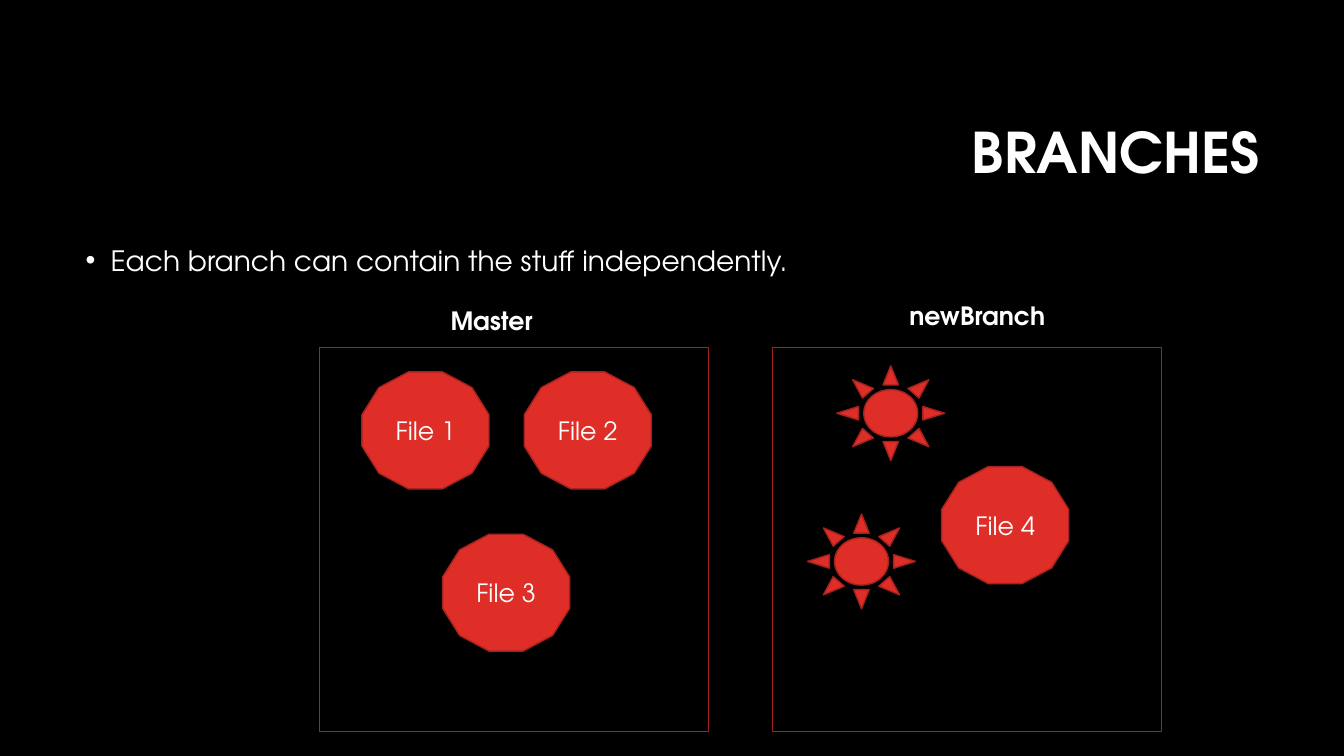
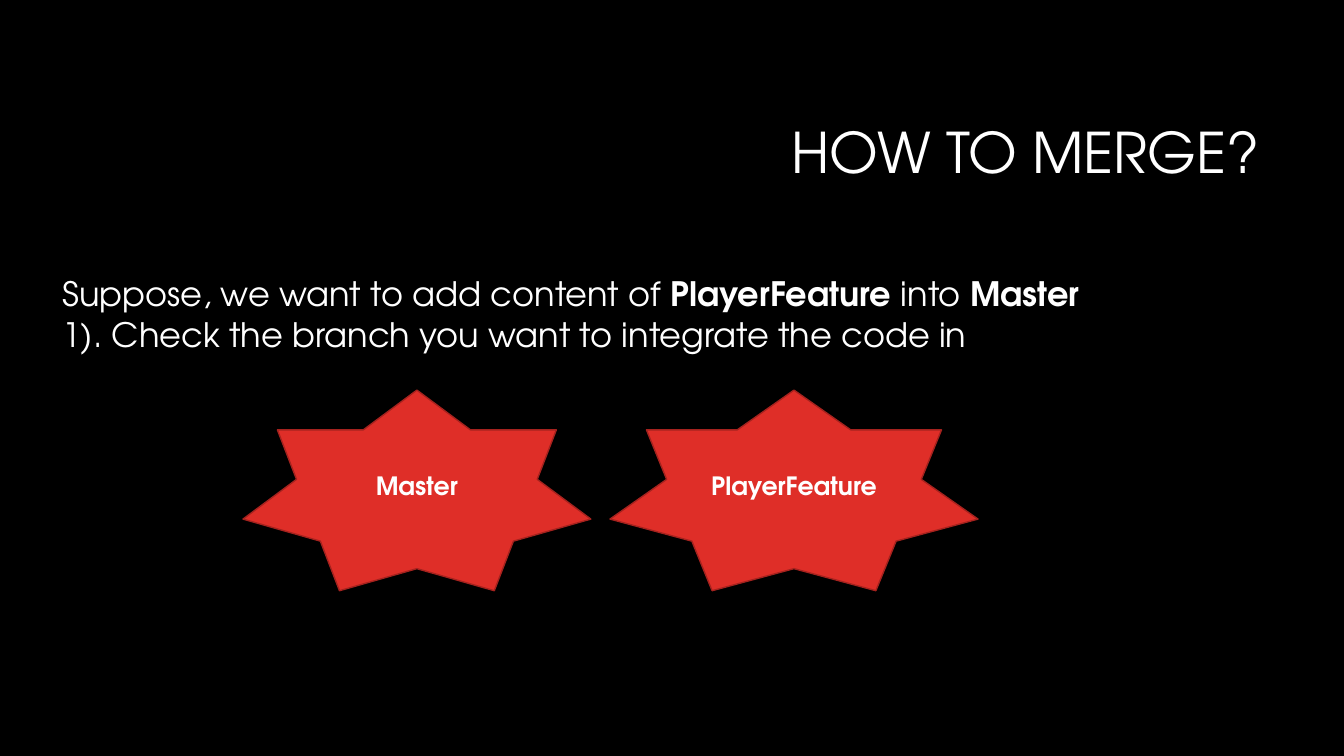
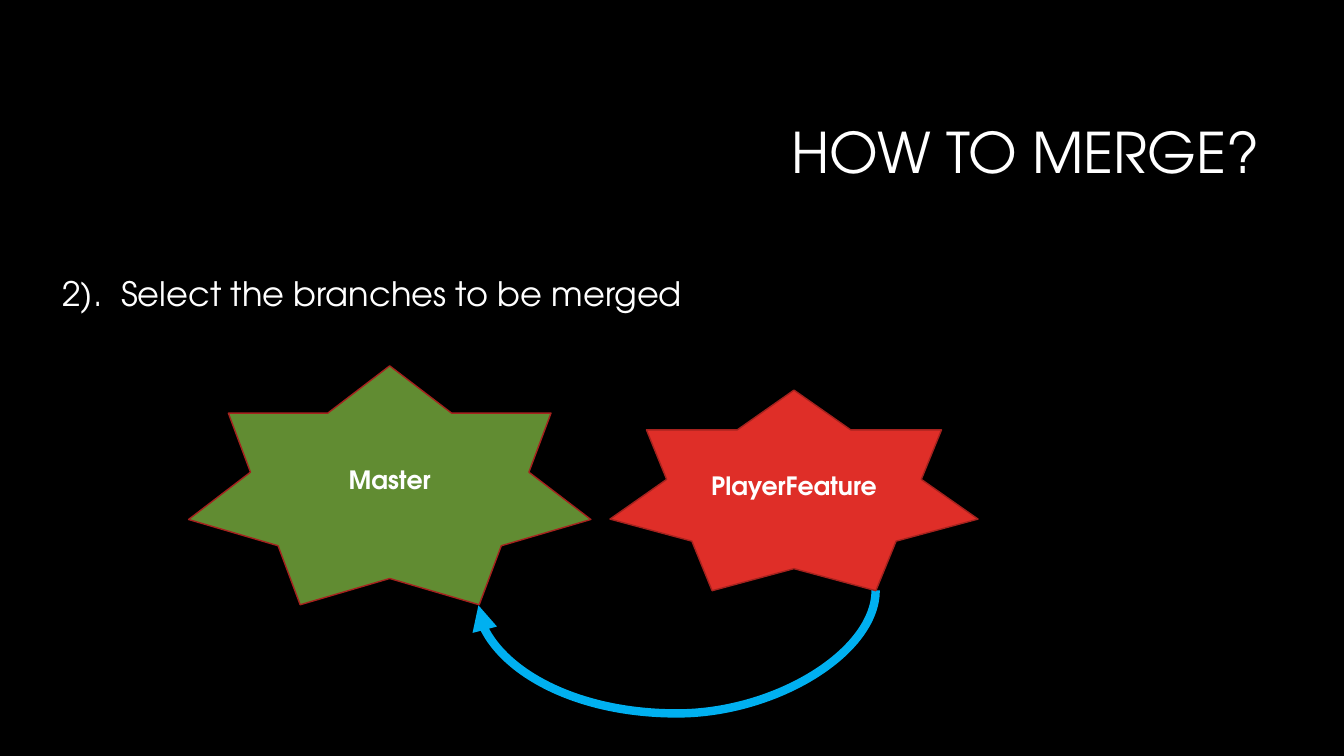
"""Build three slides about branches and merging."""
from dataclasses import dataclass

from lxml import etree
from pptx import Presentation
from pptx import util as u
from pptx.dml.color import RGBColor
from pptx.enum import shapes, text
from pptx.oxml import ns

PX = 9144
FONT = "TeX Gyre Adventor"
BLACK, WHITE = "000000", "FFFFFF"
RED, DARK_RED, GREEN, BLUE = "DF2E28", "A5221E", "618C32", "00B0F0"
KIND = shapes.MSO_SHAPE
LEFT, CENTER, RIGHT = text.PP_ALIGN.LEFT, text.PP_ALIGN.CENTER, text.PP_ALIGN.RIGHT


@dataclass(frozen=True)
class Span:
    words: str
    bold: bool = False


@dataclass(frozen=True)
class Figure:
    kind: KIND
    left: int
    top: int
    width: int
    height: int
    label: Span | None = None
    fill: str | None = RED


def px(length: int) -> u.Emu:
    return u.Emu(length * PX)


def color(value: str) -> RGBColor:
    return RGBColor.from_string(value)


def add_spans(para, spans: list[Span], size: int) -> None:
    for item in spans:
        span = para.add_run()
        span.text = item.words
        span.font.name = FONT
        span.font.size = u.Pt(size)
        span.font.bold = item.bold
        span.font.color.rgb = color(WHITE)


def add_text(page, area: tuple[int, int, int, int], lines: list[list[Span]], size: int,
             align=LEFT, wrap: bool = True, middle: bool = False):
    box = page.shapes.add_textbox(*map(px, area))
    frame = box.text_frame
    frame.word_wrap = wrap
    if middle:
        frame.vertical_anchor = text.MSO_ANCHOR.MIDDLE
    for index, spans in enumerate(lines):
        para = frame.add_paragraph() if index else frame.paragraphs[0]
        para.alignment = align
        add_spans(para, spans, size)
    return box


def add_page(deck, title: Span):
    page = deck.slides.add_slide(deck.slide_layouts[6])
    box = add_text(page, (317, 84, 942, 141), [[title]], 40, RIGHT, middle=True)
    box.text_frame.paragraphs[0].line_spacing = 0.9
    return page


def add_bullet(page, words: str) -> None:
    box = add_text(page, (75, 240, 1183, 440), [[Span(words)]], 20)
    para = box.text_frame.paragraphs[0]
    para.line_spacing = 0.9
    para.space_before = u.Pt(10)
    props = para._p.get_or_add_pPr()
    props.set("marL", str(px(25)))
    props.set("indent", str(px(-25)))
    etree.SubElement(props, ns.qn("a:buFont")).set("typeface", "Arial")
    etree.SubElement(props, ns.qn("a:buChar")).set("char", "•")


def add_figure(page, figure: Figure) -> None:
    area = figure.left, figure.top, figure.width, figure.height
    shape = page.shapes.add_shape(figure.kind, *map(px, area))
    shape.shadow.inherit = False
    shape.line.color.rgb = color(DARK_RED)
    shape.line.width = u.Pt(1)
    if figure.fill:
        shape.fill.solid()
        shape.fill.fore_color.rgb = color(figure.fill)
    else:
        shape.fill.background()
    if figure.label:
        shape.text_frame.vertical_anchor = text.MSO_ANCHOR.MIDDLE
        para = shape.text_frame.paragraphs[0]
        para.alignment = CENTER
        add_spans(para, [figure.label], 18)


def add_merge_arrow(page) -> None:
    arrow = page.shapes.add_connector(
        shapes.MSO_CONNECTOR.CURVE, *map(px, (664, 396, 679, 790)))
    arrow.line.color.rgb = color(BLUE)
    arrow.line.width = u.Pt(6)
    props = arrow._element.spPr
    props.find(ns.qn("a:xfrm")).set("rot", str(90 * 60000))
    guides = props.find(ns.qn("a:prstGeom")).get_or_add_avLst()
    guide = etree.SubElement(guides, ns.qn("a:gd"))
    guide.set("name", "adj1")
    guide.set("fmla", "val 815000")
    etree.SubElement(props.find(ns.qn("a:ln")), ns.qn("a:tailEnd")).set("type", "triangle")
    etree.SubElement(props, ns.qn("a:effectLst"))


def build_branches(deck) -> None:
    page = add_page(deck, Span("BRANCHES", True))
    add_bullet(page, "Each branch can contain the stuff independently.")
    for left in (317, 766):
        add_figure(page, Figure(KIND.RECTANGLE, left, 345, 386, 381, fill=None))
    for name, area in (("Master", (437, 298, 126, 40)), ("newBranch", (892, 293, 184, 40))):
        add_text(page, area, [[Span(name, True)]], 18)
    for number, (left, top) in enumerate(((359, 369), (520, 369), (439, 530), (934, 463)), 1):
        add_figure(page, Figure(KIND.DODECAGON, left, top, 126, 116, Span(f"File {number}")))
    for left, top in ((830, 363), (801, 510)):
        add_figure(page, Figure(KIND.SUN, left, top, 107, 94))


def build_merge(deck, area: tuple[int, int, int, int], lines: list[list[Span]],
                master: Figure, arrow: bool = False) -> None:
    page = add_page(deck, Span("HOW TO MERGE?"))
    add_text(page, area, lines, 24, wrap=False)
    add_figure(page, master)
    if arrow:
        add_merge_arrow(page)
    add_figure(page, Figure(KIND.STAR_7_POINT, 605, 387, 365, 199, Span("PlayerFeature", True)))


def main() -> None:
    deck = Presentation()
    deck.slide_width, deck.slide_height = px(1333), px(750)
    backdrop = deck.slide_master.background.fill
    backdrop.solid()
    backdrop.fore_color.rgb = color(BLACK)
    master = Span("Master", True)
    build_branches(deck)
    build_merge(
        deck, (52, 266, 1045, 91),
        [[Span("Suppose, we want to add content of "), Span("PlayerFeature ", True),
          Span("into"), Span(" Master", True)],
         [Span("1). Check the branch you want to integrate the code in")]],
        Figure(KIND.STAR_7_POINT, 241, 387, 345, 199, master))
    build_merge(
        deck, (52, 266, 643, 50), [[Span("2).  Select the branches to be merged")]],
        Figure(KIND.STAR_7_POINT, 187, 363, 399, 237, master, GREEN), arrow=True)
    deck.save("out.pptx")


if __name__ == "__main__":
    main()
